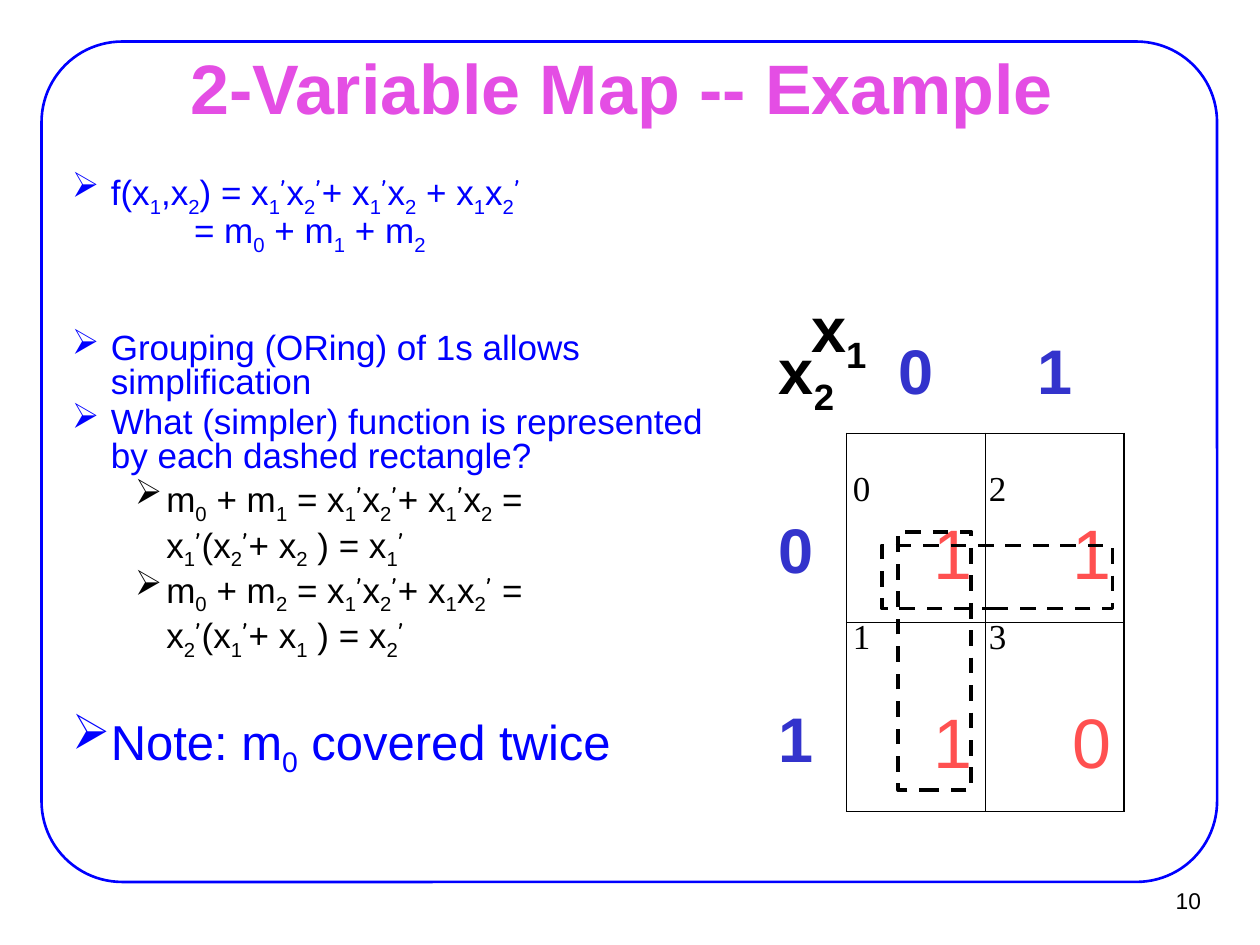
import pptx
import pptx.dml.color
import pptx.enum.dml
import pptx.enum.shapes
import pptx.enum.text
import pptx.oxml
import pptx.oxml.ns
import pptx.util

Inches = pptx.util.Inches
Pt = pptx.util.Pt
RGBColor = pptx.dml.color.RGBColor
ALIGN = pptx.enum.text.PP_ALIGN
ANCHOR = pptx.enum.text.MSO_ANCHOR
SHAPE = pptx.enum.shapes.MSO_SHAPE

BLACK = RGBColor(0, 0, 0)
BLUE = RGBColor(0, 0, 255)
PINK = RGBColor(0xE4, 0x4E, 0xE4)
NAVY = RGBColor(0x33, 0x33, 0xCC)
RED = RGBColor(0xFF, 0x50, 0x50)

NO_STYLE = "{2D5ABB26-0587-4C30-8999-92F81FD0307C}"
PRIME = "\u2019"

TITLE = {"size": Pt(40), "name": "Arial", "bold": True}
NUMBER = {"size": Pt(13), "name": "Arial"}
INDEX = {"size": Pt(20), "name": "Times New Roman"}
LABEL = {"size": Pt(36), "name": "Arial", "bold": True}
VALUE = {"size": Pt(40), "name": "Arial", "bold": False}
BODY = {"size": Pt(20), "name": "Arial"}
NOTE = {"size": Pt(28), "name": "Arial"}

# text, format, colour, left margin, hanging indent, space before
NOTES = [
    ("f(x_1,x_2) = x_1’x_2’+ x_1’x_2 + x_1x_2’", BODY, BLUE, 0.81, 0.31, 4),
    ("= m_0 + m_1 + m_2", BODY, BLUE, 1.47, 0, 0),
    ("Grouping (ORing) of 1s allows simplification", BODY, BLUE, 0.81, 0.31, 47),
    ("What (simpler) function is represented by each dashed rectangle?",
     BODY, BLUE, 0.81, 0.31, 4),
    ("m_0 + m_1 = x_1’x_2’+ x_1’x_2 =", BODY, BLACK, 1.25, 0.25, 4),
    ("x_1’(x_2’+ x_2 ) = x_1’", BODY, BLACK, 1.25, 0, 4),
    ("m_0 + m_2 = x_1’x_2’+ x_1x_2’ =", BODY, BLACK, 1.25, 0.25, 4),
    ("x_2’(x_1’+ x_1 ) = x_2’", BODY, BLACK, 1.25, 0, 4),
    ("Note: m_0 covered twice", NOTE, BLUE, 0.81, 0.31, 35),
]
MAP = [["x_2", "0", "1"], ["0", "1", "1"], ["1", "1", "0"]]
INDEXES = [("0", 6.67, 3.65), ("2", 7.75, 3.65), ("1", 6.67, 4.83), ("3", 7.75, 4.83)]
GROUPS = [(7.13, 4.22, 0.58, 2.05), (7, 4.33, 1.83, 0.5)]


def set_values(target, values):
    """Set each named attribute of the target."""
    for name, value in values.items():
        setattr(target, name, value)


def add_run(paragraph, text, style, color, subscript=False):
    """Append one formatted run."""
    run = paragraph.add_run()
    run.text = text
    set_values(run.font, style)
    run.font.color.rgb = color
    if subscript:
        run.font._element.set("baseline", "-25000")
    return run


def add_formula(paragraph, text, style, color):
    """Write text in which _ lowers the next character and primes are in Comic Neue."""
    for position, part in enumerate(text.split("_")):
        if position:
            add_run(paragraph, part[0], style, color, subscript=True)
            part = part[1:]
        for order, piece in enumerate(part.split(PRIME)):
            if order:
                add_run(paragraph, PRIME, {**style, "name": "Comic Neue"}, color)
            if piece:
                add_run(paragraph, piece, style, color)


def add_label(slide, text, box, style, align=ALIGN.LEFT):
    """Add a short unwrapped text."""
    frame = slide.shapes.add_textbox(*map(Inches, box)).text_frame
    set_values(frame, {"word_wrap": False})
    frame.paragraphs[0].alignment = align
    add_formula(frame.paragraphs[0], text, style, BLACK)


def add_outline(slide, kind, box, color, width):
    """Add an unfilled shape."""
    outline = slide.shapes.add_shape(kind, *map(Inches, box))
    outline.shadow.inherit = False
    outline.fill.background()
    outline.line.color.rgb = color
    outline.line.width = Pt(width)
    return outline


def add_title(slide):
    """Place and fill the title placeholder."""
    title = slide.shapes.title
    set_values(title, {"left": Inches(0.76), "top": Inches(0.44),
                       "width": Inches(8.5), "height": Inches(0.49)})
    frame = title.text_frame
    set_values(frame, {"vertical_anchor": ANCHOR.MIDDLE, "word_wrap": True,
                       "auto_size": pptx.enum.text.MSO_AUTO_SIZE.NONE})
    frame.paragraphs[0].alignment = ALIGN.CENTER
    add_run(frame.paragraphs[0], "2-Variable Map -- Example ", TITLE, PINK)


def set_indent(paragraph, margin, hanging):
    """Set the left margin, and a bullet where the first line hangs."""
    properties = paragraph._p.get_or_add_pPr()
    properties.set("marL", str(Inches(margin)))
    properties.set("indent", str(-Inches(hanging)))
    if hanging:
        bullet = pptx.oxml.parse_xml(
            f'<a:buChar {pptx.oxml.ns.nsdecls("a")} char="\u27a2"/>')
        properties.append(bullet)


def add_notes(slide):
    """Add the bulleted explanation."""
    frame = slide.shapes.add_textbox(*map(Inches, (-0.04, 1.33, 5.91, 5.08))).text_frame
    set_values(frame, {"word_wrap": True, "margin_left": Inches(0.11),
                       "margin_right": Inches(0.11), "margin_top": Inches(0.06)})
    for row, (text, style, color, margin, hanging, before) in enumerate(NOTES):
        paragraph = frame.add_paragraph() if row else frame.paragraphs[0]
        set_values(paragraph, {"line_spacing": 0.8, "space_before": Pt(before)})
        set_indent(paragraph, margin, hanging)
        add_formula(paragraph, text, style, color)


def set_borders(cell, sides):
    """Draw thin black lines on the given sides of a cell."""
    for side in sides:
        cell._tc.get_or_add_tcPr().append(pptx.oxml.parse_xml(
            f'<a:ln{side} {pptx.oxml.ns.nsdecls("a")} w="12700"><a:solidFill>'
            f'<a:srgbClr val="{BLACK}"/></a:solidFill></a:ln{side}>'))


def add_map(slide):
    """Add the two-variable map with its row and column labels."""
    table = slide.shapes.add_table(3, 3, *map(Inches, (5.92, 2.02, 3, 4.42))).table
    table._tbl.tblPr.find(pptx.oxml.ns.qn("a:tableStyleId")).text = NO_STYLE
    set_values(table, {"first_row": False, "horz_banding": False})
    for column, width in zip(table.columns, (0.8, 1.1, 1.1)):
        column.width = Inches(width)
    for row, height in zip(table.rows, (1.42, 1.5, 1.5)):
        row.height = Inches(height)
    for r, texts in enumerate(MAP):
        for c, text in enumerate(texts):
            cell = table.cell(r, c)
            inner, corner = bool(r and c), not (r or c)
            set_borders(cell, "LRTB" if inner else "" if corner else "R" if r else "B")
            cell.fill.background()
            set_values(cell, {"margin_left": Inches(0.1), "margin_right": Inches(0.1),
                              "margin_top": Inches(0.66), "margin_bottom": Inches(0.05),
                              "vertical_anchor": ANCHOR.TOP})
            paragraph = cell.text_frame.paragraphs[0]
            paragraph.alignment = ALIGN.RIGHT if inner or corner else ALIGN.CENTER
            color = RED if inner else BLACK if corner else NAVY
            add_formula(paragraph, text, VALUE if inner else LABEL, color)


def main():
    """Build and save the slide."""
    deck = pptx.Presentation()
    set_values(deck, {"slide_width": Inches(10), "slide_height": Inches(7.5)})
    slide = deck.slides.add_slide(deck.slide_layouts[5])
    frame = add_outline(slide, SHAPE.ROUNDED_RECTANGLE, (0.33, 0.33, 9.33, 6.67), BLUE, 1.5)
    frame.adjustments[0] = 0.096
    add_label(slide, "10", (9.02, 6.99, 0.61, 0.37), NUMBER, ALIGN.RIGHT)
    add_title(slide)
    add_notes(slide)
    add_map(slide)
    add_label(slide, "x_1", (6.34, 2.25, 0.66, 0.7), LABEL)
    for text, left, top in INDEXES:
        add_label(slide, text, (left, top, 0.34, 0.43), INDEX)
    for box in GROUPS:
        group = add_outline(slide, SHAPE.RECTANGLE, box, BLACK, 2.25)
        group.line.dash_style = pptx.enum.dml.MSO_LINE.DASH
    deck.save("out.pptx")


main()
